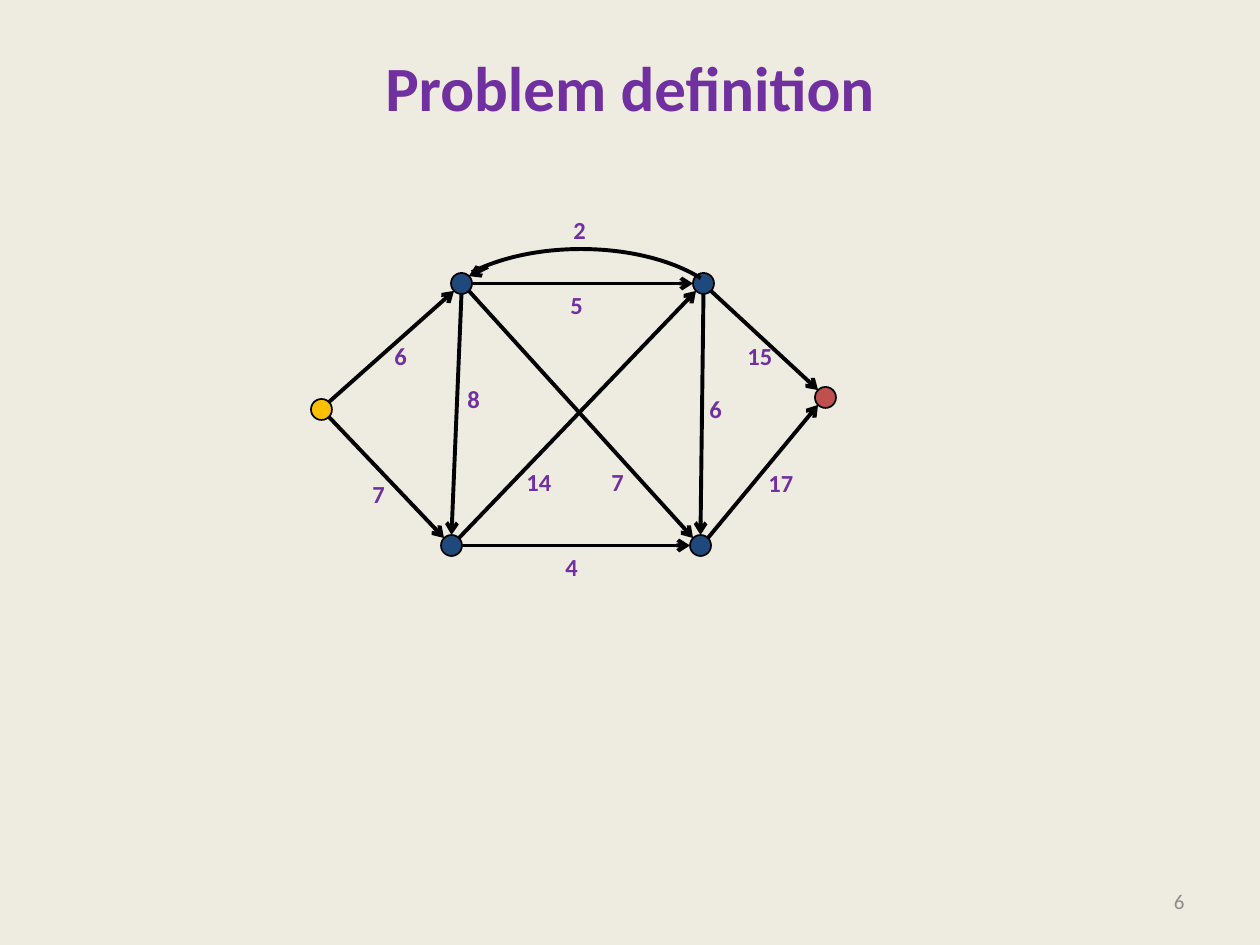
from math import cos, sin, radians
from lxml.etree import SubElement
from pptx import Presentation
from pptx.dml.color import RGBColor
from pptx.enum.shapes import MSO_CONNECTOR, MSO_SHAPE
from pptx.enum.text import MSO_ANCHOR, MSO_AUTO_SIZE, PP_ALIGN
from pptx.oxml.ns import qn
from pptx.util import Inches, Pt

SCALE = 914400 / 126  # EMU in one px
DOT = 21
BACK = RGBColor(0xEE, 0xEC, 0xE1)
PURPLE = RGBColor(0x70, 0x30, 0xA0)
GREY = RGBColor(0x8C, 0x8C, 0x8C)
BLACK = RGBColor(0, 0, 0)
NAVY = RGBColor(0x1F, 0x49, 0x7D)
GOLD = RGBColor(0xFF, 0xC0, 0x00)
RED = RGBColor(0xC0, 0x50, 0x4D)

# Name: left, top, fill
NODES = {
    "start": (311, 399, GOLD),
    "top a": (451, 273, NAVY),
    "top b": (693, 273, NAVY),
    "low a": (441, 535, NAVY),
    "low b": (690, 535, NAVY),
    "end": (815, 387, RED),
}
# From, angle at which the edge leaves (clockwise from the right), to
EDGES = [
    ("start", -45, "top a"),
    ("start", 45, "low a"),
    ("top a", 0, "top b"),
    ("top a", 90, "low a"),
    ("top a", 45, "low b"),
    ("low a", -45, "top b"),
    ("low a", 0, "low b"),
    ("top b", 90, "low b"),
    ("top b", 45, "end"),
    ("low b", -45, "end"),
]
# Text, left, top
COSTS = [
    ("2", 561, 209), ("17", 756, 462), ("5", 558, 284), ("6", 697, 388),
    ("8", 455, 378), ("7", 360, 473), ("4", 553, 546), ("15", 735, 335),
    ("6", 382, 335), ("7", 599, 461), ("14", 514, 461),
]


def px(*vals):
    return [round(v * SCALE) for v in vals]


def add_text(slide, text, box, size, color, bold=True, align=PP_ALIGN.LEFT,
             anchor=MSO_ANCHOR.TOP, wrap=True):
    frame = slide.shapes.add_textbox(*px(*box)).text_frame
    frame.word_wrap = wrap
    frame.vertical_anchor = anchor
    if not wrap:
        frame.auto_size = MSO_AUTO_SIZE.SHAPE_TO_FIT_TEXT
    para = frame.paragraphs[0]
    para.text = text
    para.alignment = align
    font = para.font
    font.name, font.size, font.bold = "Calibri", Pt(size), bold
    font.color.rgb = color
    return frame


def add_node(slide, left, top, fill):
    dot = slide.shapes.add_shape(MSO_SHAPE.OVAL, *px(left, top, DOT, DOT))
    dot.shadow.inherit = False
    dot.fill.solid()
    dot.fill.fore_color.rgb = fill
    dot.line.color.rgb = BLACK
    dot.line.width = Pt(1)


def add_arrow(slide, start, end):
    line = slide.shapes.add_connector(MSO_CONNECTOR.STRAIGHT, *px(*start, *end))
    line.line.color.rgb = BLACK
    line.line.width = Pt(2.25)
    SubElement(line.line._get_or_add_ln(), qn("a:tailEnd"), type="arrow")
    SubElement(line._element.spPr, qn("a:effectLst"))


def add_arc(slide, box, first, last):
    arc = slide.shapes.add_shape(MSO_SHAPE.ARC, *px(*box))
    arc.shadow.inherit = False
    # Angles are stored in 1/60000 degree, adjustments in 1/100000
    arc.adjustments[0] = first * 0.6
    arc.adjustments[1] = last * 0.6
    arc.fill.background()
    arc.line.color.rgb = BLACK
    arc.line.width = Pt(2.25)


def rim(name, angle):
    """Point on the rim of a node."""
    left, top, _ = NODES[name]
    half, turn = DOT / 2, radians(angle)
    return left + half + half * cos(turn), top + half + half * sin(turn)


def main():
    deck = Presentation()
    deck.slide_width, deck.slide_height = Inches(10), Inches(7.5)
    slide = deck.slides.add_slide(deck.slide_layouts[6])
    slide.background.fill.solid()
    slide.background.fill.fore_color.rgb = BACK

    # Title and slide number
    title = add_text(slide, "Problem definition", (63, 38, 1134, 157), 36,
                     PURPLE, align=PP_ALIGN.CENTER)
    title.margin_top = px(10)[0]
    add_text(slide, "6", (903, 876, 294, 50), 12, GREY, bold=False,
             align=PP_ALIGN.RIGHT, anchor=MSO_ANCHOR.MIDDLE)

    # Graph
    for node in NODES.values():
        add_node(slide, *node)
    for start, angle, end in EDGES:
        add_arrow(slide, rim(start, angle), rim(end, angle + 180))

    # Curved edge back, with its arrowhead
    add_arc(slide, (426, 249, 310, 160), 207.5, 337)
    add_arrow(slide, (488, 267), rim("top a", -45))

    # Edge costs
    for text, left, top in COSTS:
        wide = 26 + 12 * len(text)
        add_text(slide, text, (left, top, wide, 43), 14, PURPLE, wrap=False)

    deck.save("out.pptx")


if __name__ == "__main__":
    main()
